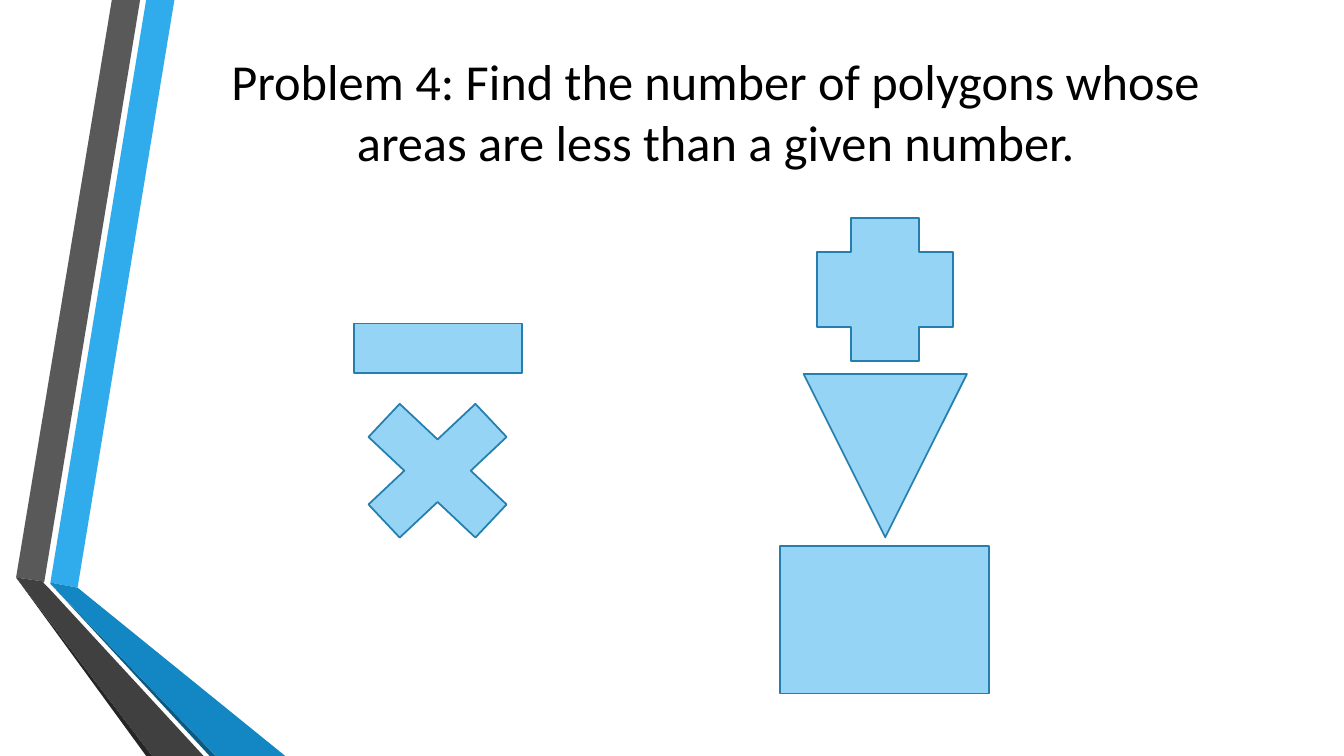
from lxml import etree
from pptx import Presentation, util as u
from pptx.dml.color import RGBColor
from pptx.enum import shapes, text
from pptx.oxml.ns import qn

TITLE = "Problem 4: Find the number of polygons whose areas are less than a given number."
TITLE_BOX = (1.62, 0.75, 10.96, 1.92)
COLORS = {
    "blue": "30ACEC", "blue_shade": "1287C3", "blue_edge": "0C5A82",
    "gray": "595959", "gray_shade": "404040", "gray_edge": "262626",
    "outline": "247FAF", "title": "000000",
}
POLYGON_ALPHA = 51

RIBBONS = [
    ("blue", [(0.5, 5.78), (0.77, 5.83), (1.73, 0), (1.45, 0)]),
    ("gray", [(1.39, 0), (1.11, 0), (0.16, 5.73), (0.44, 5.77)]),
    ("gray_edge", [(0.16, 5.73), (1.45, 7.5), (1.51, 7.5)]),
    ("blue_edge", [(0.5, 5.79), (2.08, 7.5), (2.14, 7.5)]),
    ("blue_shade", [(0.5, 5.79), (2.14, 7.5), (2.83, 7.5), (0.77, 5.83), (0.5, 5.78)]),
    ("gray_shade", [(2.02, 7.5), (0.48, 5.83), (0.43, 5.78), (0.44, 5.77),
                    (0.16, 5.73), (1.51, 7.5)]),
]

KIND = shapes.MSO_SHAPE
POLYGONS = [
    (KIND.CROSS, 8.1, 2.16, 1.35, 1.42),
    (KIND.MATH_MINUS, 3.21, 2.41, 2.27, 2.09),
    (KIND.MATH_MULTIPLY, 3.32, 3.71, 2.04, 1.92),
    (KIND.FLOWCHART_MERGE, 7.97, 3.71, 1.62, 1.62),
    (KIND.FLOWCHART_PROCESS, 7.74, 5.42, 2.07, 1.46),
]


def color(name):
    return RGBColor.from_string(COLORS[name])


def paint(shape, name):
    shape.shadow.inherit = False
    shape.fill.solid()
    shape.fill.fore_color.rgb = color(name)


def add_ribbon(page, name, points):
    corners = [(u.Inches(x), u.Inches(y)) for x, y in points]
    builder = page.shapes.build_freeform(*corners[0], scale=1.0)
    builder.add_line_segments(corners[1:], close=True)
    ribbon = builder.convert_to_shape()
    paint(ribbon, name)
    ribbon.line.fill.background()


def add_polygon(page, kind, *bounds):
    polygon = page.shapes.add_shape(kind, *map(u.Inches, bounds))
    paint(polygon, "blue")
    tint = polygon.fill._xPr.find(qn("a:solidFill"))[0]
    etree.SubElement(tint, qn("a:alpha"), val=str(POLYGON_ALPHA * 1000))
    polygon.line.color.rgb = color("outline")
    polygon.line.width = u.Pt(1.25)


def set_title(page):
    title = page.shapes.title
    title.left, title.top, title.width, title.height = map(u.Inches, TITLE_BOX)
    frame = title.text_frame
    frame.text = TITLE
    frame.word_wrap = True
    frame.auto_size = text.MSO_AUTO_SIZE.NONE
    frame.vertical_anchor = text.MSO_ANCHOR.MIDDLE
    frame.margin_bottom = u.Inches(1.27)
    para = frame.paragraphs[0]
    para.alignment = text.PP_ALIGN.CENTER
    para.line_spacing = 1.0
    para.font.name = "Calibri"
    para.font.size = u.Pt(36)
    para.font.color.rgb = color("title")


def main():
    deck = Presentation()
    deck.slide_width, deck.slide_height = u.Inches(13.33), u.Inches(7.5)
    page = deck.slides.add_slide(deck.slide_layouts[5])
    for name, points in RIBBONS:
        add_ribbon(page, name, points)
    set_title(page)
    for polygon in POLYGONS:
        add_polygon(page, *polygon)
    deck.save("out.pptx")


if __name__ == "__main__":
    main()
